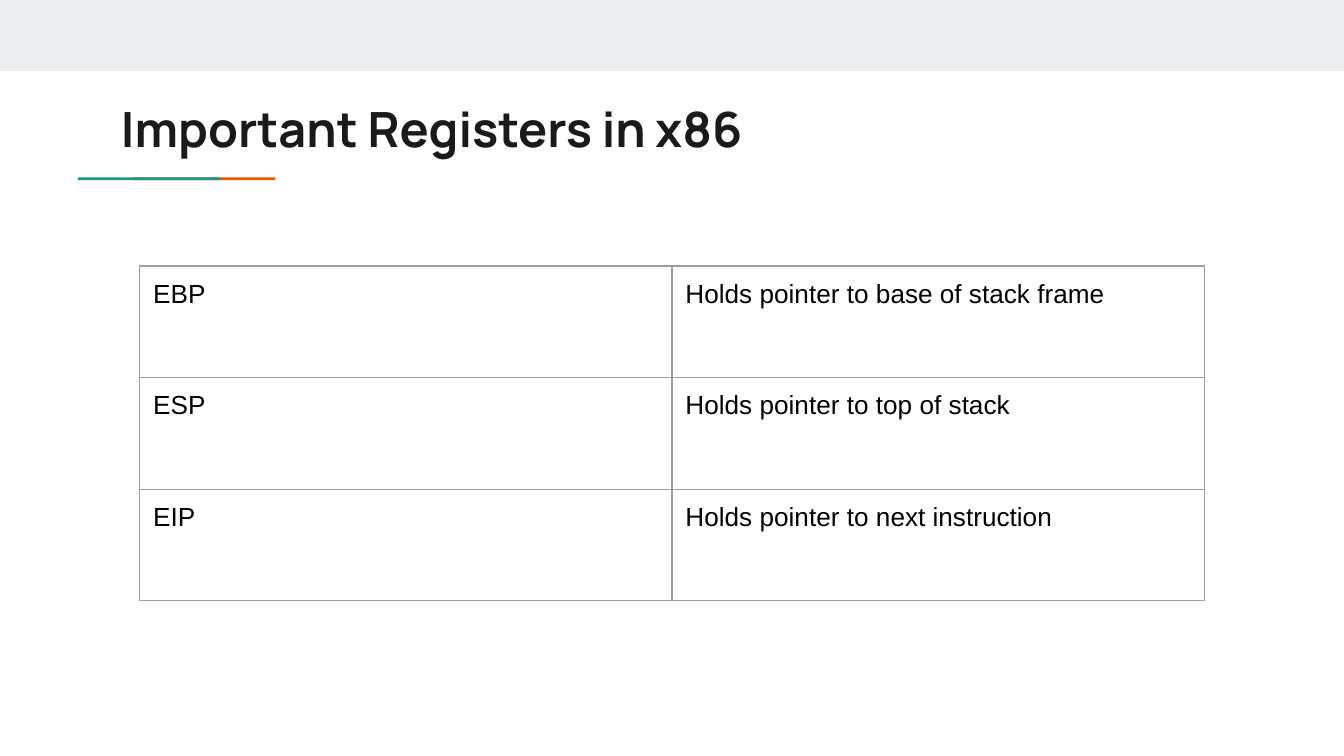
from lxml import etree
from pptx import Presentation
from pptx.dml.color import RGBColor
from pptx.enum.shapes import MSO_SHAPE
from pptx.enum.text import MSO_ANCHOR, PP_ALIGN
from pptx.oxml.ns import qn
from pptx.util import Inches, Pt

RECTANGLE = MSO_SHAPE.RECTANGLE
TOP, LEFT = MSO_ANCHOR.TOP, PP_ALIGN.LEFT

# Content
TITLE = "Important Registers in x86"
REGISTERS = [
    ("EBP", "Holds pointer to base of stack frame"),
    ("ESP", "Holds pointer to top of stack"),
    ("EIP", "Holds pointer to next instruction"),
]
COLORS = {
    "band": "E9EDEE", "orange": "EB5600", "teal": "1A9988",
    "title": "1A1A1A", "text": "000000", "border": "9E9E9E",
}
# Fill, left, top, width, height; the teal bar overlaps the orange one
BARS = [
    ("band", 0, 0, 10, 0.53),
    ("orange", 0.99, 1.32, 1.06, 0.02),
    ("teal", 0.58, 1.32, 1.06, 0.02),
]
COLUMN_WIDTH, ROW_HEIGHT = 3.96, 0.83
PADDING = Inches(0.1)


def color(name):
    return RGBColor.from_string(COLORS[name])


def add_bar(page, fill, *place):
    bar = page.shapes.add_shape(RECTANGLE, *map(Inches, place))
    bar.shadow.inherit = False
    bar.fill.solid()
    bar.fill.fore_color.rgb = color(fill)
    bar.line.fill.background()


def format_text(frame, font_name, size, fill, bold=False):
    for para in frame.paragraphs:
        para.alignment = LEFT
        for span in para.runs:
            span.font.name = font_name
            span.font.size = Pt(size)
            span.font.bold = bold
            span.font.color.rgb = color(fill)


def set_padding(target):
    target.margin_left = target.margin_right = PADDING
    target.margin_top = target.margin_bottom = PADDING
    target.vertical_anchor = TOP


def add_borders(cell):
    properties = cell._tc.get_or_add_tcPr()
    for index, side in enumerate(("lnL", "lnR", "lnT", "lnB")):
        line = etree.Element(qn(f"a:{side}"), w=str(Pt(0.75)))
        fill = etree.SubElement(line, qn("a:solidFill"))
        etree.SubElement(fill, qn("a:srgbClr"), val=COLORS["border"])
        properties.insert(index, line)


# Widescreen page, 16 to 9
deck = Presentation()
deck.slide_width = Inches(10)
deck.slide_height = deck.slide_width * 9 // 16
page = deck.slides.add_slide(deck.slide_layouts[5])

# Top band and accent line
for bar in BARS:
    add_bar(page, *bar)

# Title
title = page.shapes.title
title.left, title.top = Inches(0.8), Inches(0.64)
title.width, title.height = Inches(8.41), Inches(0.59)
title.text_frame.text = TITLE
title.text_frame.word_wrap = True
set_padding(title.text_frame)
format_text(title.text_frame, "Manrope", 26, "title", bold=True)

# Register table
rows, columns = len(REGISTERS), len(REGISTERS[0])
table = page.shapes.add_table(
    rows, columns, Inches(1.04), Inches(1.98),
    Inches(COLUMN_WIDTH * columns), Inches(ROW_HEIGHT * rows)).table
table.first_row = table.horz_banding = False
for row, texts in zip(table.rows, REGISTERS):
    for cell, text in zip(row.cells, texts):
        cell.text_frame.text = text
        cell.fill.background()
        set_padding(cell)
        format_text(cell.text_frame, "Arial", 14, "text")
        add_borders(cell)

deck.save("out.pptx")
